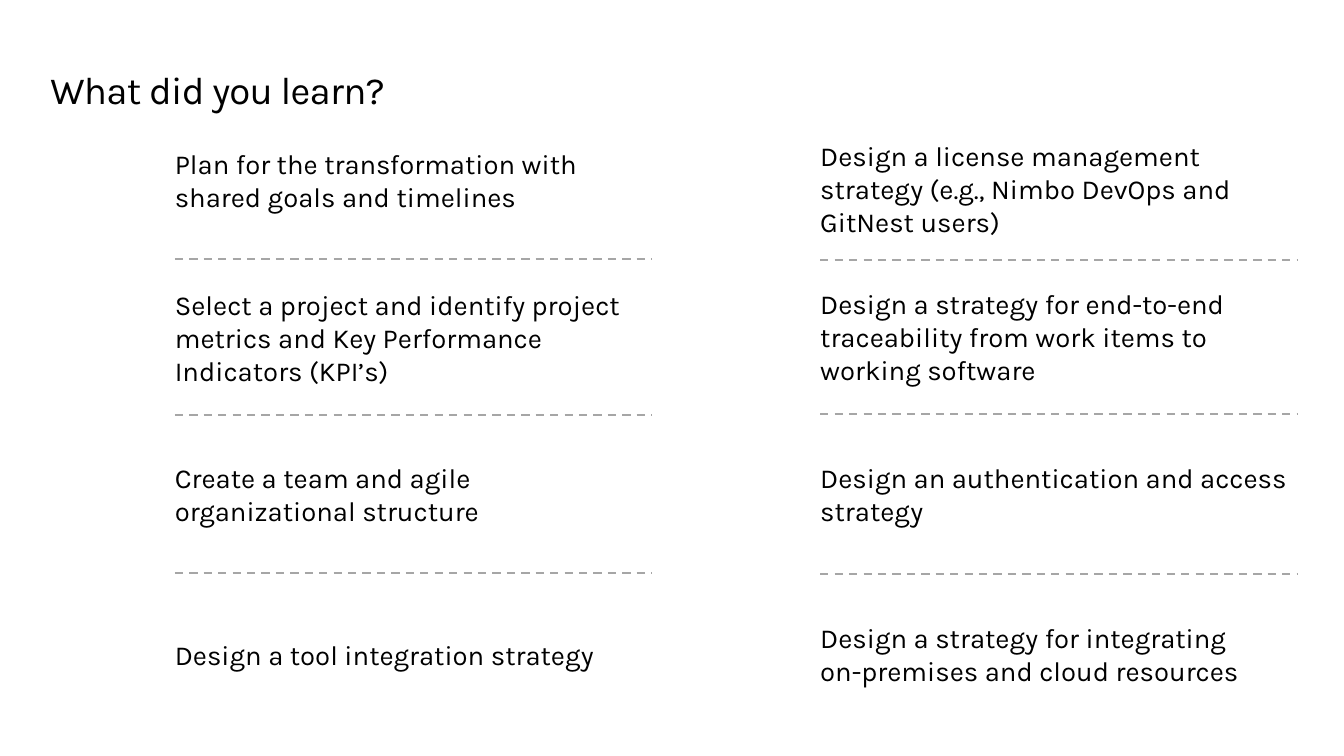
from dataclasses import dataclass

from lxml import etree
from pptx import Presentation
from pptx.dml.color import RGBColor
from pptx.enum.dml import MSO_LINE
from pptx.enum.shapes import MSO_CONNECTOR
from pptx.enum.text import MSO_ANCHOR, MSO_AUTO_SIZE, PP_ALIGN
from pptx.oxml.ns import qn
from pptx.slide import Slide
from pptx.text.text import TextFrame, _Run
from pptx.util import Pt

STRAIGHT = MSO_CONNECTOR.STRAIGHT
DASH = MSO_LINE.DASH
TOP, MIDDLE = MSO_ANCHOR.TOP, MSO_ANCHOR.MIDDLE
LEFT = PP_ALIGN.LEFT
NO_AUTOFIT = MSO_AUTO_SIZE.NONE

FONT = "Karla"
COLORS = {"text": "000000", "rule": "A6A6A6"}
COLUMN_W = 347.8


@dataclass
class Topic:
    middle: float
    height: float
    lines: list[str]


@dataclass
class Column:
    left: float
    topics: list[Topic]
    rules: list[float]


COLUMNS = [
    Column(127.4, [
        Topic(131.4, 48.4, ["Plan for the transformation with shared goals and timelines"]),
        Topic(245.9, 72.8, ["Select a project and identify project metrics and "
                            "Key Performance Indicators (KPI’s)"]),
        Topic(359.6, 48.4, ["Create a team and agile organizational structure"]),
        Topic(476.6, 24.4, ["Design a tool integration strategy"]),
    ], [188.6, 302.4, 417.6]),
    Column(597.6, [
        Topic(137.2, 51, ["Design a license management strategy "
                          "(e.g., Nimbo DevOps and GitNest users)"]),
        Topic(245.5, 73.4, ["Design a strategy for end-to-end traceability "
                            "from work items to working software"]),
        Topic(359.6, 51, ["Design an authentication and access strategy"]),
        Topic(476.3, 51, ["Design a strategy for integrating",
                          "on-premises and cloud resources"]),
    ], [189.4, 301.7, 418.3]),
]


def format_frame(tf: TextFrame, anchor: MSO_ANCHOR) -> None:
    tf.word_wrap = True
    tf.auto_size = NO_AUTOFIT
    tf.vertical_anchor = anchor
    tf.margin_left = tf.margin_top = tf.margin_right = tf.margin_bottom = 0


def format_run(r: _Run, size: float) -> None:
    r.font.name = FONT
    r.font.size = Pt(size)
    r.font.color.rgb = RGBColor.from_string(COLORS["text"])


def add_title(s: Slide, text: str) -> None:
    title = s.shapes.title
    title.left, title.top = Pt(36.7), Pt(49.7)
    title.width, title.height = Pt(907.9), Pt(32.4)
    format_frame(title.text_frame, TOP)
    p = title.text_frame.paragraphs[0]
    p.alignment = LEFT
    p.line_spacing = Pt(32)
    r = p.add_run()
    r.text = text
    format_run(r, 28)
    r.font._element.set("spc", "-50")


def add_topic(s: Slide, left: float, topic: Topic) -> None:
    top = topic.middle - topic.height / 2
    box = s.shapes.add_textbox(Pt(left), Pt(top), Pt(COLUMN_W), Pt(topic.height))
    format_frame(box.text_frame, MIDDLE)
    p = box.text_frame.paragraphs[0]
    for i, line in enumerate(topic.lines):
        if i:
            p.add_line_break()
        r = p.add_run()
        r.text = line
        format_run(r, 20)


def add_rule(s: Slide, left: float, y: float) -> None:
    rule = s.shapes.add_connector(STRAIGHT, Pt(left), Pt(y), Pt(left + COLUMN_W), Pt(y))
    rule.line.color.rgb = RGBColor.from_string(COLORS["rule"])
    rule.line.width = Pt(1.5)
    rule.line.dash_style = DASH
    etree.SubElement(rule._element.spPr, qn("a:effectLst"))


def main() -> None:
    prs = Presentation()
    prs.slide_width, prs.slide_height = Pt(979.2), Pt(550.8)
    s = prs.slides.add_slide(prs.slide_layouts.get_by_name("Title Only"))
    add_title(s, "What did you learn?")
    for column in COLUMNS:
        for topic in column.topics:
            add_topic(s, column.left, topic)
        for y in column.rules:
            add_rule(s, column.left, y)
    prs.save("out.pptx")


if __name__ == "__main__":
    main()
